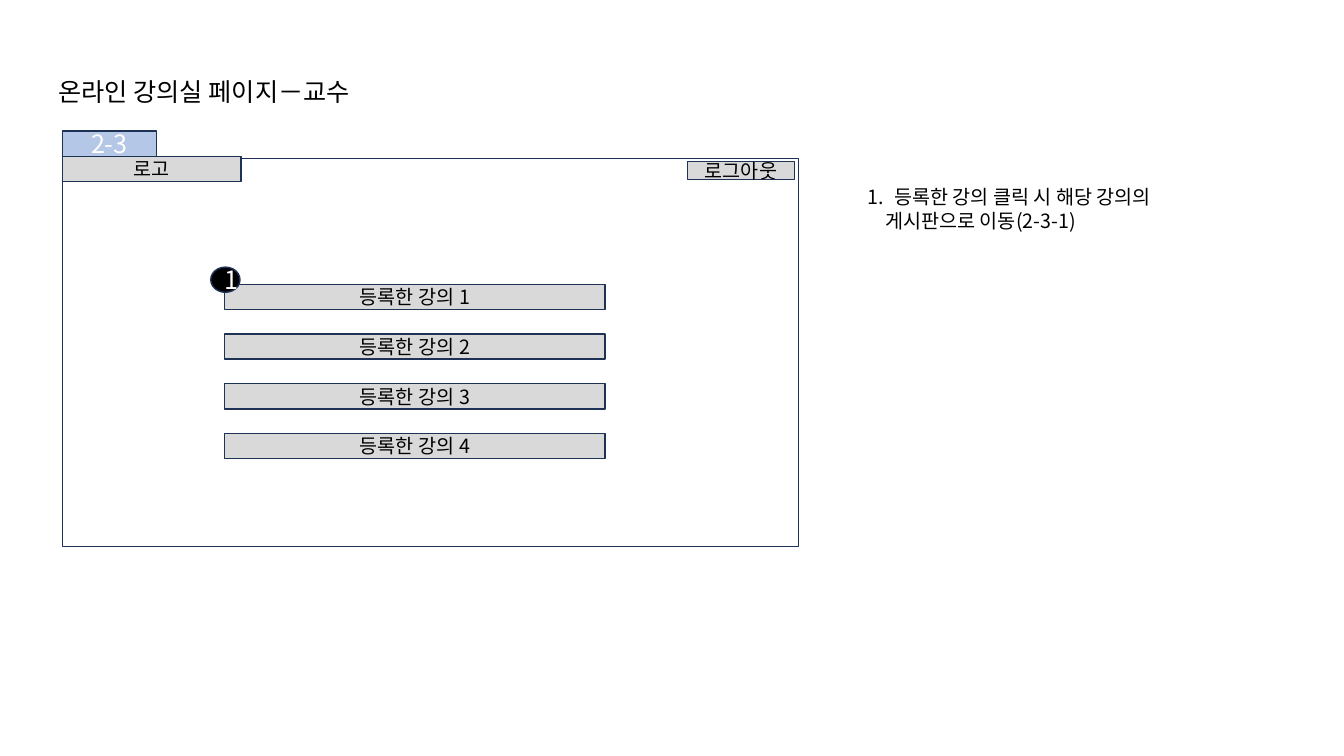
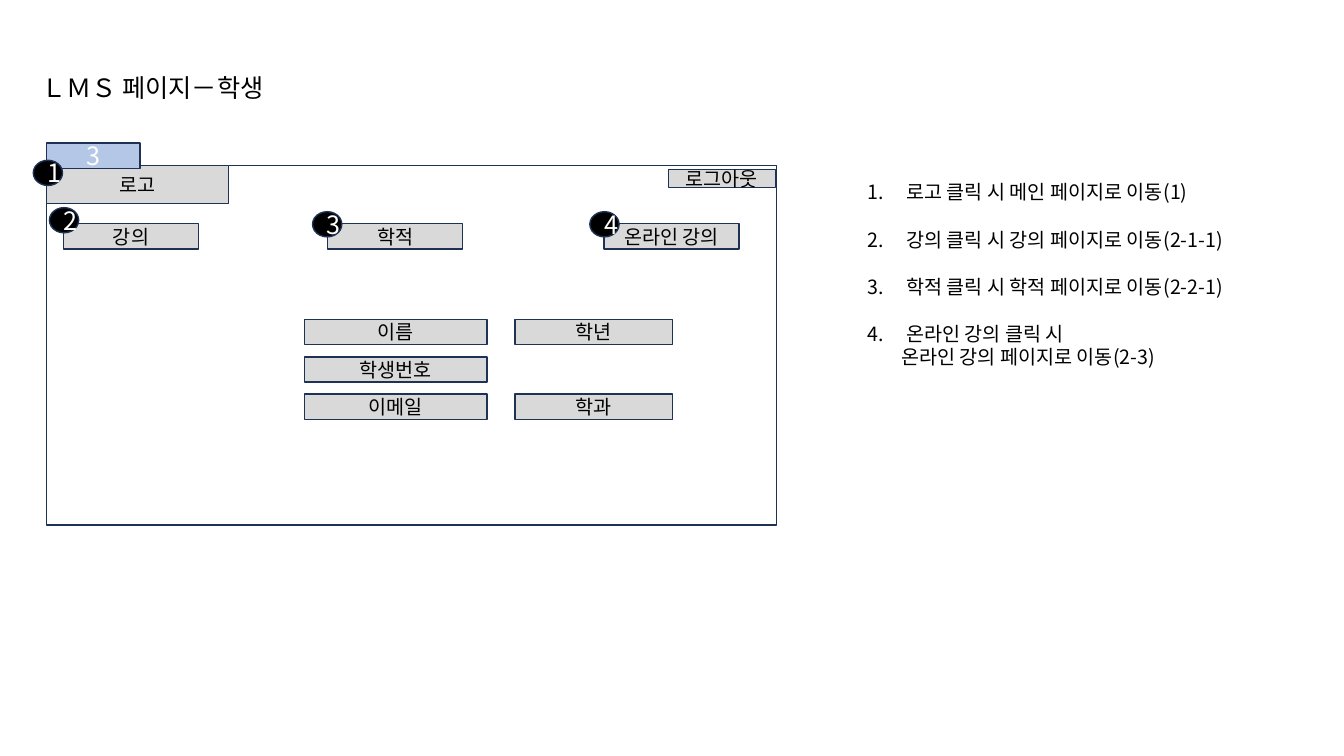
from pptx import Presentation
from pptx.dml.color import RGBColor
from pptx.enum.shapes import MSO_SHAPE
from pptx.enum.text import MSO_ANCHOR, MSO_AUTO_SIZE, PP_ALIGN
from pptx.oxml.ns import qn
from pptx.util import Inches, Pt
from lxml.etree import SubElement

FONT = "Noto Sans CJK KR"
COLORS = {
    "text": "000000",
    "white": "FFFFFF",
    "outline": "1E3256",
    "box": "D9D9D9",
    "tab": "B4C7E7",
    "badge": "000000",
}
BAR_H = 0.25
BADGE_W = 0.29


def rgb(name):
    return RGBColor.from_string(COLORS[name])


def add_run(p, text, size, color="text"):
    r = p.add_run()
    r.text = text
    r.font.size = Pt(size)
    r.font.color.rgb = rgb(color)
    r.font.name = FONT
    # East Asian typeface for the Korean text
    SubElement(r.font._element, qn("a:ea")).set("typeface", FONT)


def add_box(s, x, y, w, h, fill, text="", size=14, color="text",
            kind=MSO_SHAPE.RECTANGLE):
    sp = s.shapes.add_shape(kind, Inches(x), Inches(y), Inches(w), Inches(h))
    sp.shadow.inherit = False
    sp.fill.solid()
    sp.fill.fore_color.rgb = rgb(fill)
    sp.line.color.rgb = rgb("outline")
    sp.line.width = Pt(1)
    if text:
        tf = sp.text_frame
        tf.vertical_anchor = MSO_ANCHOR.MIDDLE
        p = tf.paragraphs[0]
        p.alignment = PP_ALIGN.CENTER
        add_run(p, text, size, color)


def add_button(s, x, y, w, text, h=BAR_H):
    add_box(s, x, y, w, h, "box", text)


def add_badge(s, x, y, number):
    add_box(s, x, y, BADGE_W, BAR_H, "badge", str(number), 18, "white",
            MSO_SHAPE.OVAL)


def add_textbox(s, x, y, w, h, wrap):
    sp = s.shapes.add_textbox(Inches(x), Inches(y), Inches(w), Inches(h))
    tf = sp.text_frame
    tf.word_wrap = wrap
    tf.auto_size = MSO_AUTO_SIZE.SHAPE_TO_FIT_TEXT
    return tf


def add_notes_list(s, y, w, h, items, hang, rest):
    """Numbered list; each item is a tuple of lines, later ones indented by rest."""
    tf = add_textbox(s, 8.51, y, w, h, True)
    for i, lines in enumerate(items):
        for j, line in enumerate(lines):
            p = tf.paragraphs[0] if i == j == 0 else tf.add_paragraph()
            pPr = p._p.get_or_add_pPr()
            if j == 0:
                pPr.set("marL", str(Inches(hang)))
                pPr.set("indent", str(-Inches(hang)))
                SubElement(pPr, qn("a:buAutoNum")).set("type", "arabicPeriod")
                if i:
                    p.space_before = Pt(16.8)
            else:
                pPr.set("marL", str(Inches(rest)))
                pPr.set("indent", "0")
            add_run(p, line, 14)


def add_page(prs, title, title_at, number, frame, tab_y, logo, logout_at):
    """Slide with the title and the wireframe parts common to every page."""
    s = prs.slides.add_slide(prs.slide_layouts[6])
    tf = add_textbox(s, *title_at, 0.4, False)
    add_run(tf.paragraphs[0], title, 18)
    left = frame[0]
    logo_y, logo_w, logo_h = logo
    add_box(s, *frame, "white")
    add_button(s, left, logo_y, logo_w, "로고", logo_h)
    add_box(s, left, tab_y, 0.93, BAR_H, "tab", number, 18, "white")
    add_button(s, *logout_at, 1.06, "로그아웃", 0.18)
    return s


def add_classroom_page(prs):
    s = add_page(prs, "온라인 강의실 페이지－교수", (0.48, 0.71, 3.5), "2-3",
                 (0.62, 1.57, 7.3, 3.85), 1.3, (1.55, 1.77, BAR_H), (6.82, 1.6))
    # Registered courses, evenly spaced
    top, last, count = 2.82, 4.3, 4
    pitch = (last - top) / (count - 1)
    for i in range(count):
        add_button(s, 2.23, top + i * pitch, 3.77, f"등록한 강의 {i + 1}")
    add_badge(s, 2.09, 2.65, 1)
    add_notes_list(s, 1.79, 4.29, 0.57, [
        ("등록한 강의 클릭 시 해당 강의의", "게시판으로 이동(2-3-1)"),
    ], 0.26, 0.17)


def add_student_page(prs):
    s = add_page(prs, "ＬＭＳ 페이지－학생", (0.31, 0.67, 2.56), "3",
                 (0.46, 1.64, 7.24, 3.57), 1.42, (1.64, 1.81, 0.38), (6.63, 1.68))
    # Menu buttons
    for x, text in ((0.63, "강의"), (3.25, "학적"), (5.99, "온라인 강의")):
        add_button(s, x, 2.22, 1.34, text)
    # Student details by column
    columns = ((3.02, 1.81, ("이름", "학생번호", "이메일")),
               (5.11, 1.56, ("학년", "", "학과")))
    for x, w, labels in columns:
        for row, text in enumerate(labels):
            if text:
                add_button(s, x, 3.17 + row * 0.37, w, text)
    # Callout numbers
    badges = ((0.33, 1.59), (0.49, 2.06), (3.1, 2.1), (5.85, 2.1))
    for number, (x, y) in enumerate(badges, 1):
        add_badge(s, x, y, number)
    add_notes_list(s, 1.74, 4.1, 1.99, [
        ("로고 클릭 시 메인 페이지로 이동(1)",),
        ("강의 클릭 시 강의 페이지로 이동(2-1-1)",),
        ("학적 클릭 시 학적 페이지로 이동(2-2-1)",),
        ("온라인 강의 클릭 시", "온라인 강의 페이지로 이동(2-3)"),
    ], 0.38, 0.33)


def main():
    prs = Presentation()
    prs.slide_width = Inches(13.33)
    prs.slide_height = Inches(7.5)
    add_classroom_page(prs)
    add_student_page(prs)
    prs.save("out.pptx")


if __name__ == "__main__":
    main()
